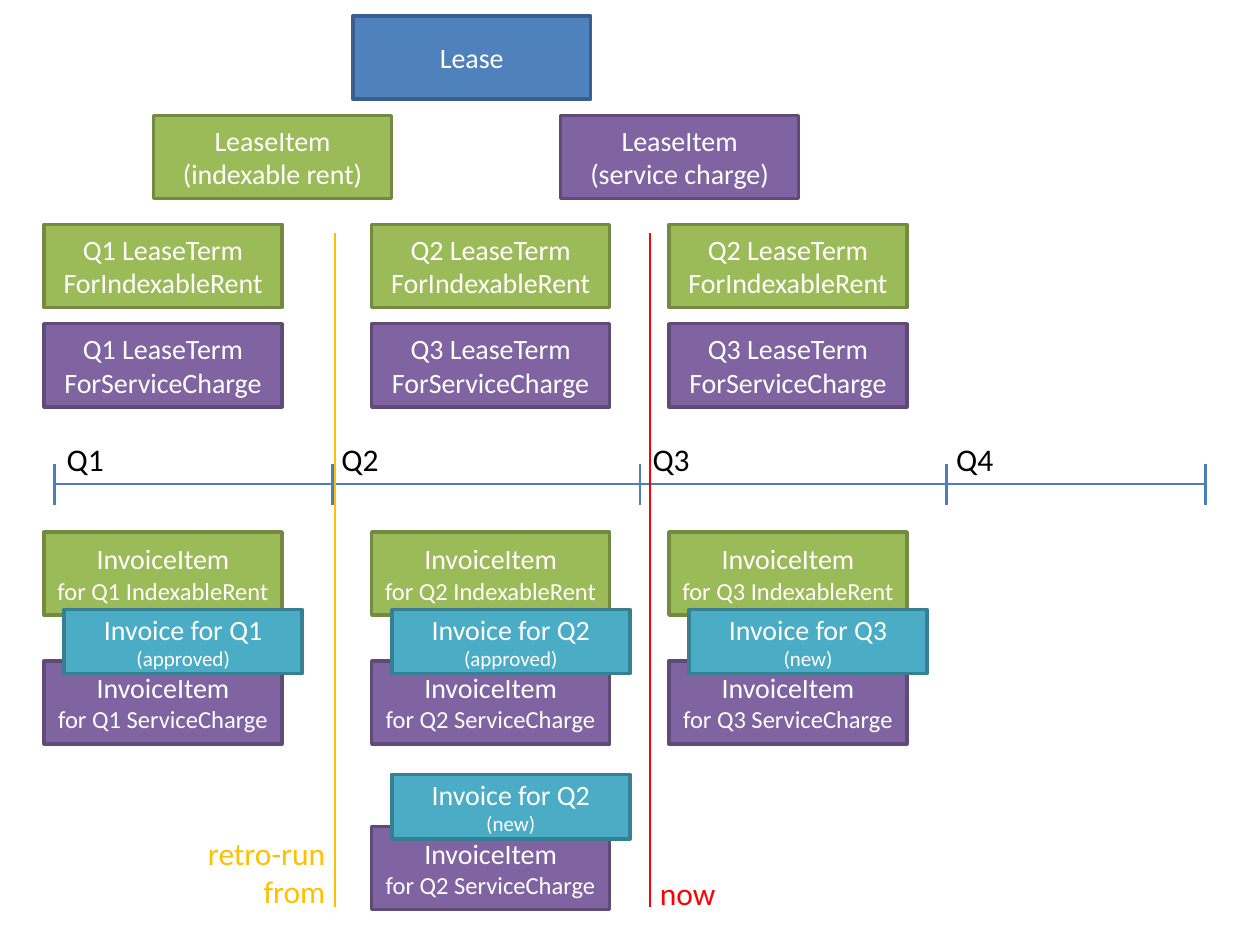
from pptx import Presentation
from pptx.util import Pt
from pptx.dml.color import RGBColor
from pptx.enum.shapes import MSO_SHAPE, MSO_CONNECTOR
from pptx.enum.text import PP_ALIGN, MSO_ANCHOR, MSO_AUTO_SIZE
from pptx.oxml.ns import qn
from lxml import etree

WHITE = RGBColor(0xFF, 0xFF, 0xFF)
BLACK = RGBColor(0x00, 0x00, 0x00)
RED = RGBColor(0xFF, 0x00, 0x00)
AMBER = RGBColor(0xFF, 0xC0, 0x00)
AXIS = RGBColor(0x4B, 0x7E, 0xBC)
# Fill and outline pairs
BLUE = RGBColor(0x4F, 0x81, 0xBD), RGBColor(0x3A, 0x5F, 0x8C)
GREEN = RGBColor(0x9B, 0xBB, 0x59), RGBColor(0x73, 0x8A, 0x42)
PURPLE = RGBColor(0x80, 0x64, 0xA2), RGBColor(0x5F, 0x4A, 0x78)
TEAL = RGBColor(0x4B, 0xAC, 0xC6), RGBColor(0x37, 0x7F, 0x92)

BOX_W, BOX_H, INVOICE_H = 136, 47.5, 36.75
INVOICE_SHIFT = 11.5
COLUMNS = [25.2, 212.4, 382.3]

prs = Presentation()
prs.slide_width, prs.slide_height = Pt(720), Pt(540)
s = prs.slides.add_slide(prs.slide_layouts[6])


def add_text(sp, lines, color, align):
    """Write (text, size) lines into one paragraph."""
    p = sp.text_frame.paragraphs[0]
    p.alignment = align
    for i, (text, size) in enumerate(lines):
        if i:
            p.add_line_break()
        r = p.add_run()
        r.text = text
        r.font.name, r.font.size = "Calibri", Pt(size)
        r.font.color.rgb = color


def add_line(x1, y1, x2, y2, color):
    line = s.shapes.add_connector(MSO_CONNECTOR.STRAIGHT, Pt(x1), Pt(y1), Pt(x2), Pt(y2))
    line.line.color.rgb = color
    line.line.width = Pt(1.5)
    etree.SubElement(line._element.spPr, qn("a:effectLst"))


# Timeline with quarter ticks
add_line(31, 276.5, 689, 276.5, AXIS)
for x in (31, 190, 365.8, 540.7, 689):
    add_line(x, 288.7, x, 265, AXIS)

# Lease and its items
boxes = [
    (201.6, 9.2, BOX_H, BLUE, [("Lease", 16)]),
    (87.8, 66, BOX_H, GREEN, [("LeaseItem", 16), ("(indexable rent)", 16)]),
    (320.4, 66, BOX_H, PURPLE, [("LeaseItem", 16), ("(service charge)", 16)]),
]

# Terms, invoice items and invoices per quarter
quarters = [("Q1", "Q1", "Q1", "approved"), ("Q2", "Q3", "Q2", "approved"), ("Q2", "Q3", "Q3", "new")]
for x, (rent, charge, quarter, status) in zip(COLUMNS, quarters):
    boxes += [
        (x, 128.2, BOX_H, GREEN, [(f"{rent} LeaseTerm", 16), ("ForIndexableRent", 16)]),
        (x, 185, BOX_H, PURPLE, [(f"{charge} LeaseTerm", 16), ("ForServiceCharge", 16)]),
        (x, 304, BOX_H, GREEN, [("InvoiceItem", 16), (f"for {quarter} IndexableRent", 14)]),
        (x, 377.6, BOX_H, PURPLE, [("InvoiceItem", 16), (f"for {quarter} ServiceCharge", 14)]),
        (x + INVOICE_SHIFT, 348.3, INVOICE_H, TEAL, [(f"Invoice for {quarter}", 16), (f"({status})", 12)]),
    ]

# Retroactive invoice for Q2
boxes += [
    (COLUMNS[1], 472.3, BOX_H, PURPLE, [("InvoiceItem", 16), ("for Q2 ServiceCharge", 14)]),
    (COLUMNS[1] + INVOICE_SHIFT, 442.6, INVOICE_H, TEAL, [("Invoice for Q2", 16), ("(new)", 12)]),
]

for x, y, h, (fill, outline), lines in boxes:
    sp = s.shapes.add_shape(MSO_SHAPE.RECTANGLE, Pt(x), Pt(y), Pt(BOX_W), Pt(h))
    sp.shadow.inherit = False
    sp.fill.solid()
    sp.fill.fore_color.rgb = fill
    sp.line.color.rgb = outline
    sp.line.width = Pt(2)
    sp.text_frame.vertical_anchor = MSO_ANCHOR.MIDDLE
    add_text(sp, lines, WHITE, PP_ALIGN.CENTER)

# Quarter and marker labels
labels = [
    (31, 247.7, 36, 29, ["Q1"], BLACK, PP_ALIGN.LEFT),
    (188, 247.7, 36, 29, ["Q2"], BLACK, PP_ALIGN.LEFT),
    (365.8, 247.7, 36, 29, ["Q3"], BLACK, PP_ALIGN.LEFT),
    (539.3, 247.7, 36, 29, ["Q4"], BLACK, PP_ALIGN.LEFT),
    (370, 496, 46.8, 29, ["now"], RED, PP_ALIGN.LEFT),
    (111, 473, 82, 51, ["retro-run", "from"], AMBER, PP_ALIGN.RIGHT),
]
for x, y, w, h, lines, color, align in labels:
    sp = s.shapes.add_textbox(Pt(x), Pt(y), Pt(w), Pt(h))
    tf = sp.text_frame
    tf.word_wrap = False
    tf.auto_size = MSO_AUTO_SIZE.SHAPE_TO_FIT_TEXT
    add_text(sp, [(text, 18) for text in lines], color, align)

# Vertical markers
for x, color in ((371.5, RED), (191.5, AMBER)):
    add_line(x, 518.4, x, 133.2, color)

prs.save("out.pptx")
